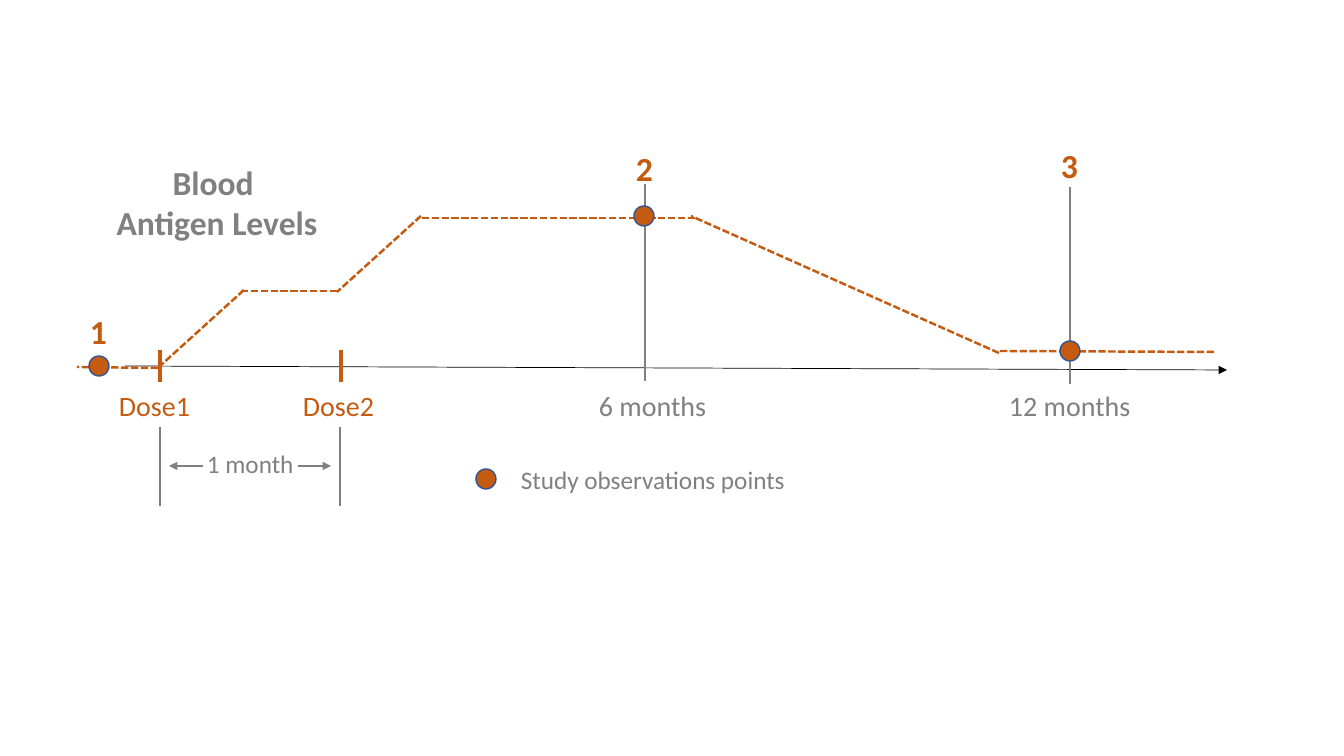
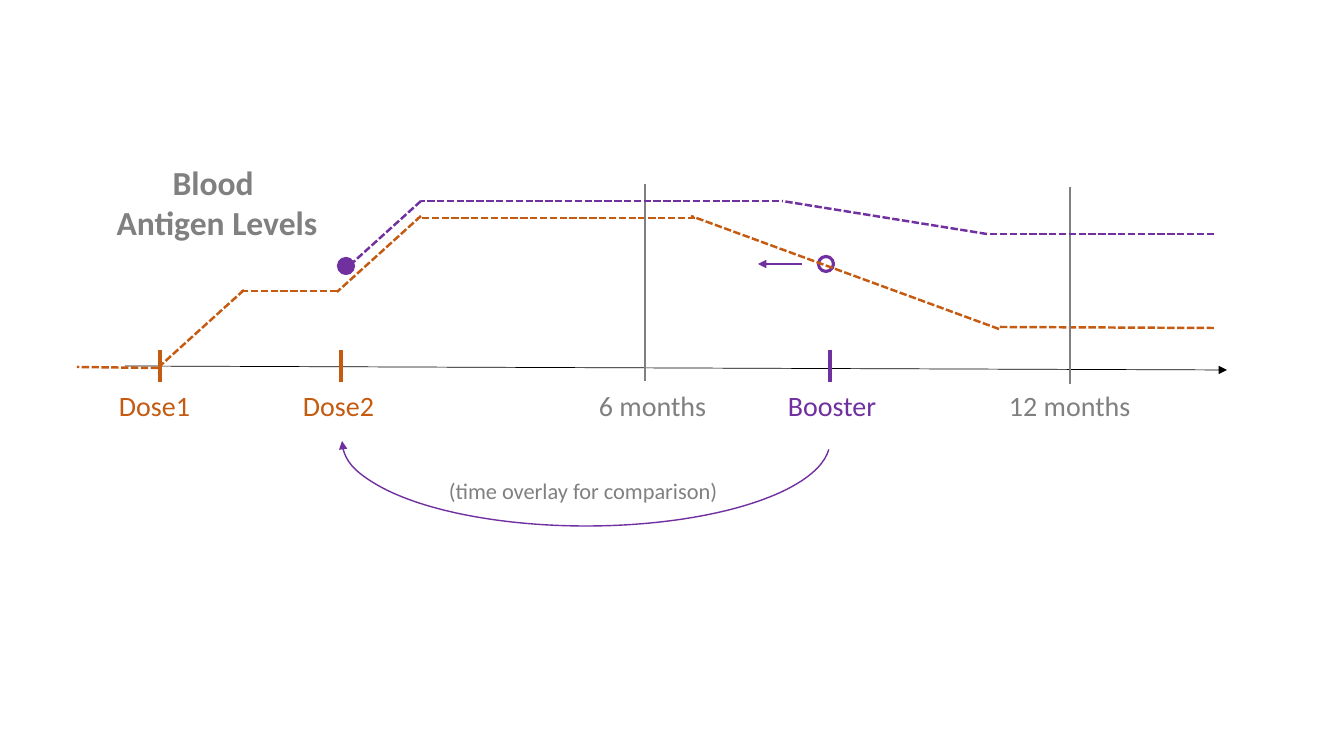
from dataclasses import dataclass

from lxml.etree import SubElement
from pptx import Presentation
from pptx.dml.color import RGBColor
from pptx.enum.dml import MSO_LINE_DASH_STYLE as Dash
from pptx.enum.shapes import MSO_CONNECTOR as Connector, MSO_SHAPE as Preset
from pptx.enum.text import MSO_ANCHOR as Anchor, MSO_AUTO_SIZE as AutoSize, PP_ALIGN as Align
from pptx.oxml.ns import qn
from pptx.util import Pt

EMU_PER_PIXEL = 914400 / 100.8
FONT = "Calibri"
ORANGE, PURPLE, GREY, BLACK, NAVY = "C55A11", "7030A0", "808080", "000000", "325491"
TITLE_ONLY = 5


@dataclass
class Box:
    """A region of the slide in pixels."""
    left: int
    top: int
    width: int
    height: int

    def inner(self, left, top, width, height):
        """Return a box given relative to this one."""
        return Box(self.left + left, self.top + top, width, height)

    def emu(self):
        """Return left, top, width and height in EMU."""
        return [px(n) for n in (self.left, self.top, self.width, self.height)]


TIMELINE = Box(60, 140, 1167, 288)
INTERVAL = Box(160, 427, 180, 79)
LEGEND = Box(476, 459, 322, 40)
OVERLAY = Box(342, 356, 488, 170)


def px(length):
    """Turn pixels into EMU."""
    return round(length * EMU_PER_PIXEL)


def rgb(color):
    """Turn a hex string into a colour."""
    return RGBColor.from_string(color)


def style_line(line, color, weight, dashed=False, arrow=False):
    """Format an outline, with dashes or an arrowhead at its end."""
    line.color.rgb = rgb(color)
    line.width = Pt(weight)
    if dashed:
        line.dash_style = Dash.SQUARE_DOT
    if arrow:
        SubElement(line._get_or_add_ln(), qn("a:tailEnd"), type="triangle")


def add_line(slide, box, start, end, color, weight, **ends):
    """Draw a straight line between two points of the box."""
    points = [px(n) for x, y in (start, end) for n in (box.left + x, box.top + y)]
    line = slide.shapes.add_connector(Connector.STRAIGHT, *points)
    style_line(line.line, color, weight, **ends)
    SubElement(line._element.spPr, qn("a:effectLst"))


def add_curve(slide, box, segments, color):
    """Draw the dashed segments of a level curve."""
    for start, end in segments:
        add_line(slide, box, start, end, color, 1.75, dashed=True)


def add_point(slide, box, center, size, fill, outline, weight):
    """Draw a round marker centred on a point; no fill makes it a ring."""
    x, y = center
    place = box.inner(x - size / 2, y - size / 2, size, size)
    point = slide.shapes.add_shape(Preset.OVAL, *place.emu())
    point.shadow.inherit = False
    if fill:
        point.fill.solid()
        point.fill.fore_color.rgb = rgb(fill)
    else:
        point.fill.background()
    style_line(point.line, outline, weight)


def write(shape, lines, size, color, bold=False, align=Align.LEFT):
    """Write lines of text, one paragraph each, without wrapping."""
    frame = shape.text_frame
    frame.text = "\n".join(lines)
    frame_format = {"word_wrap": False, "auto_size": AutoSize.SHAPE_TO_FIT_TEXT,
                    "vertical_anchor": Anchor.TOP}
    for name, value in frame_format.items():
        setattr(frame, name, value)
    font_format = {"name": FONT, "size": Pt(size), "bold": bold}
    for paragraph in frame.paragraphs:
        paragraph.alignment = align
        paragraph.line_spacing = 1.0
        for run in paragraph.runs:
            for name, value in font_format.items():
                setattr(run.font, name, value)
            run.font.color.rgb = rgb(color)


def add_label(slide, place, text, size, color, bold=False):
    """Add a one-line text box."""
    write(slide.shapes.add_textbox(*place.emu()), [text], size, color, bold)


def add_title(slide, place):
    """Place the title beside the start of the curve."""
    title = slide.shapes.title
    title.left, title.top, title.width, title.height = place.emu()
    write(title, ["Blood ", "Antigen Levels"], 24, GREY, True, Align.CENTER)


def add_dose(slide, box, x, name, label_left, label_width, color):
    """Mark a dose on the time axis and name it."""
    add_line(slide, box, (x, 210), (x, 242), color, 2.5)
    add_label(slide, box.inner(label_left, 244, label_width, 44), name, 20, color)


def add_timeline(slide, box, floor):
    """Draw axis, doses, months and the curve that falls to the floor."""
    add_title(slide, box.inner(45, 17, 224, 92))
    add_line(slide, box, (65, 226), (box.width, 230), BLACK, 0.5, arrow=True)
    add_dose(slide, box, 100, "Dose1", 49, 94, ORANGE)
    add_dose(slide, box, 281, "Dose2", 233, 92, ORANGE)
    add_curve(slide, box, [
        ((184, 150), (100, 226)),
        ((277, 151), (181, 151)),
        ((361, 76), (277, 152)),
        ((635, 78), (357, 78)),
        ((939, floor + 2), (631, 76)),
        ((1154, floor + 1), (938, floor)),
        ((98, 228), (17, 227)),
    ], ORANGE)
    for x, top, name, left, width in ((585, 44, "6 months", 529, 129),
                                      (1010, 47, "12 months", 939, 143)):
        add_line(slide, box, (x, top), (x, top + 197), GREY, 1.5)
        add_label(slide, box.inner(left, 244, width, 44), name, 20, GREY)


def add_observations(slide, box):
    """Mark and number the study observation points."""
    observations = [((39, 226), (20, 166)), ((584, 76), (566, 3)), ((1010, 211), (991, 0))]
    for number, (center, corner) in enumerate(observations, 1):
        add_point(slide, box, center, 20, ORANGE, NAVY, 1)
        add_label(slide, box.inner(*corner, 37, 50), str(number), 24, ORANGE, True)


def add_interval(slide, box):
    """Show the time between the two doses."""
    for x in (0, box.width):
        add_line(slide, box, (x, 0), (x, box.height), GREY, 1.5)
    for start, end in ((138, 171), (43, 9)):
        add_line(slide, box, (start, 39), (end, 39), GREY, 1.25, arrow=True)
    add_label(slide, box.inner(37, 16, 108, 40), "1 month", 18, GREY)


def add_legend(slide, box):
    """Explain the round markers."""
    add_point(slide, box, (10, 20), 20, ORANGE, NAVY, 1)
    add_label(slide, box.inner(35, 0, 287, 40), "Study observations points", 18, GREY)


def add_booster(slide, box):
    """Draw the booster dose and its curve, moved back to the second dose."""
    add_dose(slide, box, 770, "Booster", 718, 110, PURPLE)
    add_curve(slide, box, [
        ((361, 61), (289, 126)),
        ((719, 61), (361, 61)),
        ((927, 94), (722, 61)),
        ((1154, 94), (928, 94)),
    ], PURPLE)
    add_point(slide, box, (286, 126), 15, PURPLE, PURPLE, 2.25)
    add_line(slide, box, (742, 124), (698, 124), PURPLE, 2, arrow=True)


def add_overlay(slide, box):
    """Draw the arc that leads from the booster back to the second dose."""
    arc = slide.shapes.add_shape(Preset.ARC, *box.emu())
    arc.shadow.inherit = False
    arc.rotation = 180
    arc.adjustments[0] = 109.19
    arc.adjustments[1] = 0
    arc.fill.background()
    style_line(arc.line, PURPLE, 1, arrow=True)
    add_label(slide, box.inner(97, 116, 292, 37), "(time overlay for comparison)", 16, GREY)


def build_observation_slide(slide):
    """Build the slide with the study observation points."""
    add_timeline(slide, TIMELINE, floor=211)
    add_observations(slide, TIMELINE)
    add_legend(slide, LEGEND)
    add_interval(slide, INTERVAL)


def build_booster_slide(slide):
    """Build the slide that compares the booster with the second dose."""
    add_point(slide, TIMELINE, (766, 124), 15, None, PURPLE, 2.25)
    add_timeline(slide, TIMELINE, floor=187)
    add_booster(slide, TIMELINE)
    add_overlay(slide, OVERLAY)


def main():
    """Build and save the presentation."""
    deck = Presentation()
    deck.slide_width, deck.slide_height = px(1344), px(756)
    for build in (build_observation_slide, build_booster_slide):
        build(deck.slides.add_slide(deck.slide_layouts[TITLE_ONLY]))
    deck.save("out.pptx")


main()
